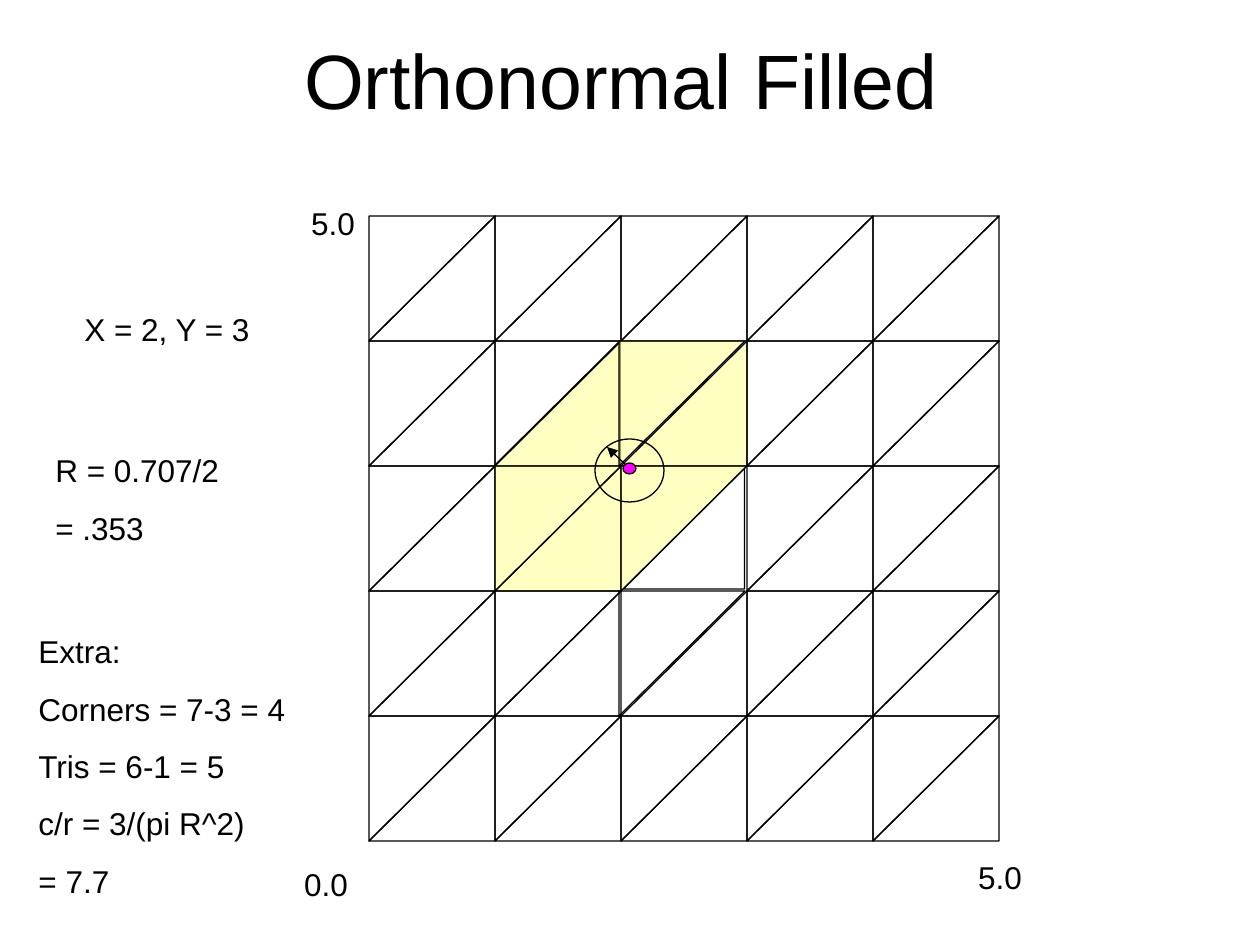
from lxml import etree
from pptx import Presentation
from pptx.dml.color import RGBColor
from pptx.enum.shapes import MSO_CONNECTOR, MSO_SHAPE
from pptx.enum.text import MSO_ANCHOR, MSO_AUTO_SIZE, PP_ALIGN
from pptx.oxml.ns import qn
from pptx.util import Emu, Pt

TRIANGLE, ELLIPSE = MSO_SHAPE.RIGHT_TRIANGLE, MSO_SHAPE.OVAL
STRAIGHT = MSO_CONNECTOR.STRAIGHT
LEFT, CENTER = PP_ALIGN.LEFT, PP_ALIGN.CENTER
MIDDLE, GROW = MSO_ANCHOR.MIDDLE, MSO_AUTO_SIZE.SHAPE_TO_FIT_TEXT
COLORS = {"ink": "000000", "cell": "FFFF66", "point": "FF00FF"}
FONT = "Arial"

# Mesh: five by five cells, each split into two right triangles
CELLS = 5
GRID_LEFT, GRID_TOP = 369, 216
CELL_WIDTH, CELL_HEIGHT = 126, 125
UPPER, LOWER = 90, 270  # rotation that puts the right angle top left / bottom right
FILLED = {(1, 1, LOWER), (2, 1, UPPER), (2, 1, LOWER),
          (1, 2, UPPER), (1, 2, LOWER), (2, 2, UPPER)}
NUDGES = {(1, 1, LOWER): -1, (2, 1, UPPER): -2, (2, 3, UPPER): -2}
REDUCED = (2, 2, LOWER)
REDUCED_SIZE = 121


def px(value):
    return Emu(round(value * 914400 / 126))


def color(name):
    return RGBColor.from_string(COLORS[name])


def format_line(line):
    line.color.rgb = color("ink")
    line.width = Pt(0.75)


def add_outline(shapes, preset, left, top, width, height, fill=None, alpha=None):
    shape = shapes.add_shape(preset, px(left), px(top), px(width), px(height))
    shape.shadow.inherit = False
    format_line(shape.line)
    if fill:
        shape.fill.solid()
        shape.fill.fore_color.rgb = color(fill)
        if alpha:
            tint = shape.fill._xPr.find(qn("a:solidFill"))[0]
            etree.SubElement(tint, qn("a:alpha"), val=str(alpha * 1000))
    else:
        shape.fill.background()
    return shape


def add_arrow(shapes, start, end):
    arrow = shapes.add_connector(STRAIGHT, *map(px, start + end))
    format_line(arrow.line)
    etree.SubElement(arrow.line._get_or_add_ln(), qn("a:tailEnd"), type="triangle")
    etree.SubElement(arrow._element.spPr, qn("a:effectLst"))


def write_text(frame, text, size=18, align=LEFT, space=11.2):
    frame.word_wrap = True
    for index, line in enumerate(text.split("\n")):
        para = frame.paragraphs[0] if index == 0 else frame.add_paragraph()
        para.alignment = align
        para.space_before = Pt(space if index else 0)
        span = para.add_run()
        span.text = line
        span.font.name = FONT
        span.font.size = Pt(size)
        span.font.color.rgb = color("ink")


def add_label(page, text, left, top, width, height=50, **text_format):
    box = page.shapes.add_textbox(px(left), px(top), px(width), px(height))
    write_text(box.text_frame, text, **text_format)
    box.text_frame.auto_size = GROW


def add_title(page, text):
    title = page.shapes.title
    title.left, title.top, title.width, title.height = map(px, (54, 0, 1134, 158))
    title.text_frame.vertical_anchor = MIDDLE
    write_text(title.text_frame, text, size=44, align=CENTER)


def add_triangle(shapes, column, row, rotation):
    key = (column, row, rotation)
    # Width and height swap because the triangle is turned a quarter
    width, height = CELL_HEIGHT, CELL_WIDTH
    if key == REDUCED:
        width = height = REDUCED_SIZE
    center_x = GRID_LEFT + (column + 0.5) * CELL_WIDTH + NUDGES.get(key, 0)
    center_y = GRID_TOP + (row + 0.5) * CELL_HEIGHT
    triangle = add_outline(shapes, TRIANGLE, center_x - width / 2,
                           center_y - height / 2, width, height,
                           fill="cell" if key in FILLED else None, alpha=40)
    triangle.rotation = rotation


def add_mesh(page):
    mesh = page.shapes.add_group_shape().shapes
    for row in range(CELLS):
        for column in range(CELLS):
            for rotation in (LOWER, UPPER):
                add_triangle(mesh, column, row, rotation)


def add_radius_marker(page):
    marker = page.shapes.add_group_shape().shapes
    add_arrow(marker, (630, 469), (607, 447))
    add_outline(marker, ELLIPSE, 595, 439, 69, 63)
    add_outline(marker, ELLIPSE, 623, 463, 13, 11, fill="point")


def main():
    deck = Presentation()
    deck.slide_width, deck.slide_height = px(1260), px(945)
    page = deck.slides.add_slide(deck.slide_layouts[5])
    add_title(page, "Orthonormal Filled")
    add_mesh(page)

    # Axis limits
    add_label(page, "0.0", 256, 859, 140, align=CENTER)
    add_label(page, "5.0", 263, 198, 140, align=CENTER)
    add_label(page, "5.0", 930, 852, 140, align=CENTER)

    # Calculations
    add_label(page, "X = 2, Y = 3", 38, 304, 258, align=CENTER)
    add_label(page, "R = 0.707/2\n= .353", 43, 445, 215, 108)
    add_label(page, "Extra:\nCorners = 7-3 = 4\nTris = 6-1 = 5\n"
                    "c/r = 3/(pi R^2)\n= 7.7", 26, 626, 335, 281)

    add_radius_marker(page)
    deck.save("out.pptx")


if __name__ == "__main__":
    main()
